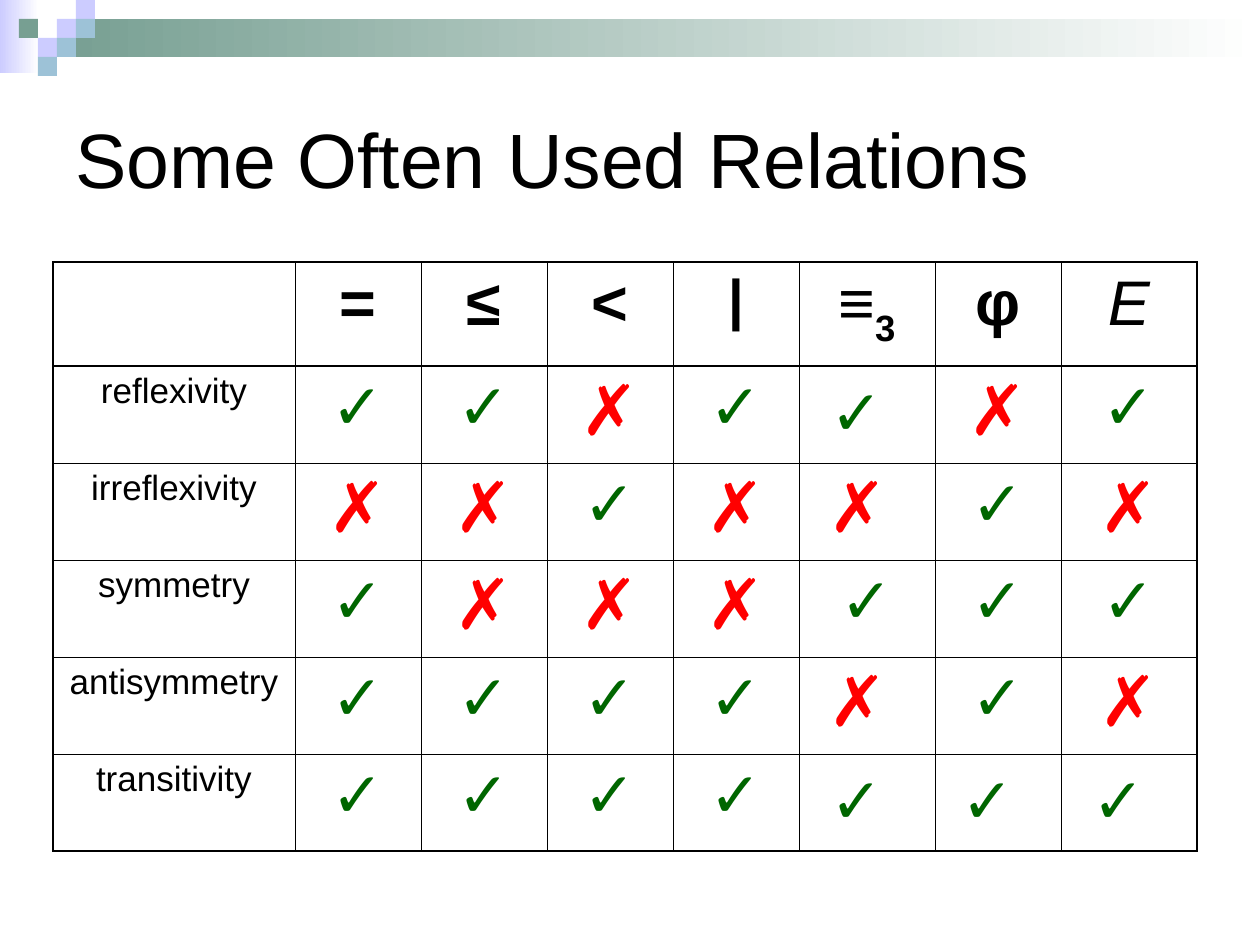
import pptx
import pptx.dml.color
import pptx.enum.shapes
import pptx.enum.text
import pptx.oxml
import pptx.oxml.ns
import pptx.util

FONT = "Arial"
BLACK, WHITE = "000000", "FFFFFF"
LILAC, BLUE, GREEN = "CCCCFF", "9DC2D7", "779F92"
MARK_STYLES = {"✓": (36, "006600"), "✗": (40, "FF0000")}
PADDING_SIZES = {"✓": 40, "✗": 36}
THIN, OUTER, HEADER_RULE = 0.45, 1.08, 1.47

SQUARE = 19
SQUARES = [
    (3, 1, LILAC), (4, 0, LILAC), (4, 1, BLUE), (2, 2, LILAC),
    (1, 1, GREEN), (3, 2, BLUE), (2, 3, BLUE),
]
COLUMN_WIDTHS = [242, 126, 126, 126, 126, 136, 126, 136]
ROW_HEIGHTS = [104] + [97] * 5
RELATIONS = ["=", "≤", "<", "|", "≡", "φ", "E"]
PROPERTIES = [
    ("reflexivity", ["✓", "✓", "✗", "✓", "✓ ", "✗", "✓"]),
    ("irreflexivity", ["✗", "✗", "✓", "✗", "✗ ", "✓", "✗"]),
    ("symmetry", ["✓", "✗", "✗", "✗", "✓", "✓", "✓"]),
    ("antisymmetry", ["✓", "✓", "✓", "✓", "✗ ", "✓", "✗"]),
    ("transitivity", ["✓", "✓", "✓", "✓", "✓ ", "✓ ", "✓ "]),
]


def px(length):
    return round(length * 914400 / 126)


def rgb(value):
    return pptx.dml.color.RGBColor.from_string(value)


def set_font(font, size, color=BLACK, bold=False, italic=False):
    font.name = FONT
    font.size = pptx.util.Pt(size)
    font.color.rgb = rgb(color)
    font.bold = bold
    font.italic = italic


def add_rectangle(page, left, top, width, height):
    shape = page.shapes.add_shape(
        pptx.enum.shapes.MSO_SHAPE.RECTANGLE, px(left), px(top), px(width), px(height)
    )
    shape.shadow.inherit = False
    shape.line.fill.background()
    return shape


def add_fade(page, left, top, width, height, color):
    fill = add_rectangle(page, left, top, width, height).fill
    fill.gradient()
    fill.gradient_angle = 180
    for stop, value in zip(fill.gradient_stops, (WHITE, color)):
        stop.color.rgb = rgb(value)


def add_square(page, column, row, color):
    shape = add_rectangle(page, column * SQUARE, row * SQUARE, SQUARE, SQUARE)
    shape.fill.solid()
    shape.fill.fore_color.rgb = rgb(color)


def add_title(page, text):
    box = page.shapes.add_textbox(px(63), px(63), px(1134), px(189))
    frame = box.text_frame
    frame.word_wrap = True
    frame.vertical_anchor = pptx.enum.text.MSO_ANCHOR.MIDDLE
    para = frame.paragraphs[0]
    para.text = text
    set_font(para.font, 44)


def set_borders(cell, row, column):
    last_row, last_column = len(ROW_HEIGHTS) - 1, len(COLUMN_WIDTHS) - 1
    widths = {
        "L": OUTER if column == 0 else THIN,
        "R": OUTER if column == last_column else THIN,
        "T": {0: OUTER, 1: HEADER_RULE}.get(row, THIN),
        "B": {0: HEADER_RULE, last_row: OUTER}.get(row, THIN),
    }
    properties = cell._tc.get_or_add_tcPr()
    for side, width in widths.items():
        properties.append(pptx.oxml.parse_xml(
            f'<a:ln{side} {pptx.oxml.ns.nsdecls("a")} w="{pptx.util.Pt(width)}">'
            f'<a:solidFill><a:srgbClr val="{BLACK}"/></a:solidFill></a:ln{side}>'
        ))
    cell.fill.background()


def write_cell(cell, text, size, **style):
    para = cell.text_frame.paragraphs[0]
    para.alignment = pptx.enum.text.PP_ALIGN.CENTER
    para.add_run().text = text
    set_font(para.font, size, **style)
    return para


def write_relation(cell, symbol):
    is_letter = symbol == "E"
    size = 32 if symbol == "|" else 36
    para = write_cell(cell, symbol, size, bold=not is_letter, italic=is_letter)
    if symbol == "≡":
        span = para.add_run()
        span.text = "3"
        span._r.get_or_add_rPr().set("baseline", "-25000")


def write_mark(cell, text):
    mark, padding = text[0], text[1:]
    size, color = MARK_STYLES[mark]
    para = write_cell(cell, mark, size, color=color, bold=True)
    if padding:
        span = para.add_run()
        span.text = padding
        span.font.size = pptx.util.Pt(PADDING_SIZES[mark])


def add_relation_table(page):
    table = page.shapes.add_table(
        len(ROW_HEIGHTS), len(COLUMN_WIDTHS), px(53), px(262),
        px(sum(COLUMN_WIDTHS)), px(sum(ROW_HEIGHTS)),
    ).table
    table.first_row = False
    table.horz_banding = False
    for column, width in zip(table.columns, COLUMN_WIDTHS):
        column.width = px(width)
    for row, height in zip(table.rows, ROW_HEIGHTS):
        row.height = px(height)
    for row in range(len(ROW_HEIGHTS)):
        for column in range(len(COLUMN_WIDTHS)):
            set_borders(table.cell(row, column), row, column)
    for column, symbol in enumerate(RELATIONS, 1):
        write_relation(table.cell(0, column), symbol)
    for row, (name, marks) in enumerate(PROPERTIES, 1):
        write_cell(table.cell(row, 0), name, 20)
        for column, mark in enumerate(marks, 1):
            write_mark(table.cell(row, column), mark)


def main():
    deck = pptx.Presentation()
    deck.slide_width, deck.slide_height = px(1260), px(945)
    page = deck.slides.add_slide(deck.slide_layouts[6])
    add_fade(page, 0, 0, 39, 73, LILAC)
    add_fade(page, 57, 19, 1203, 38, GREEN)
    for column, row, color in SQUARES:
        add_square(page, column, row, color)
    add_title(page, "Some Often Used Relations")
    add_relation_table(page)
    deck.save("out.pptx")


if __name__ == "__main__":
    main()
